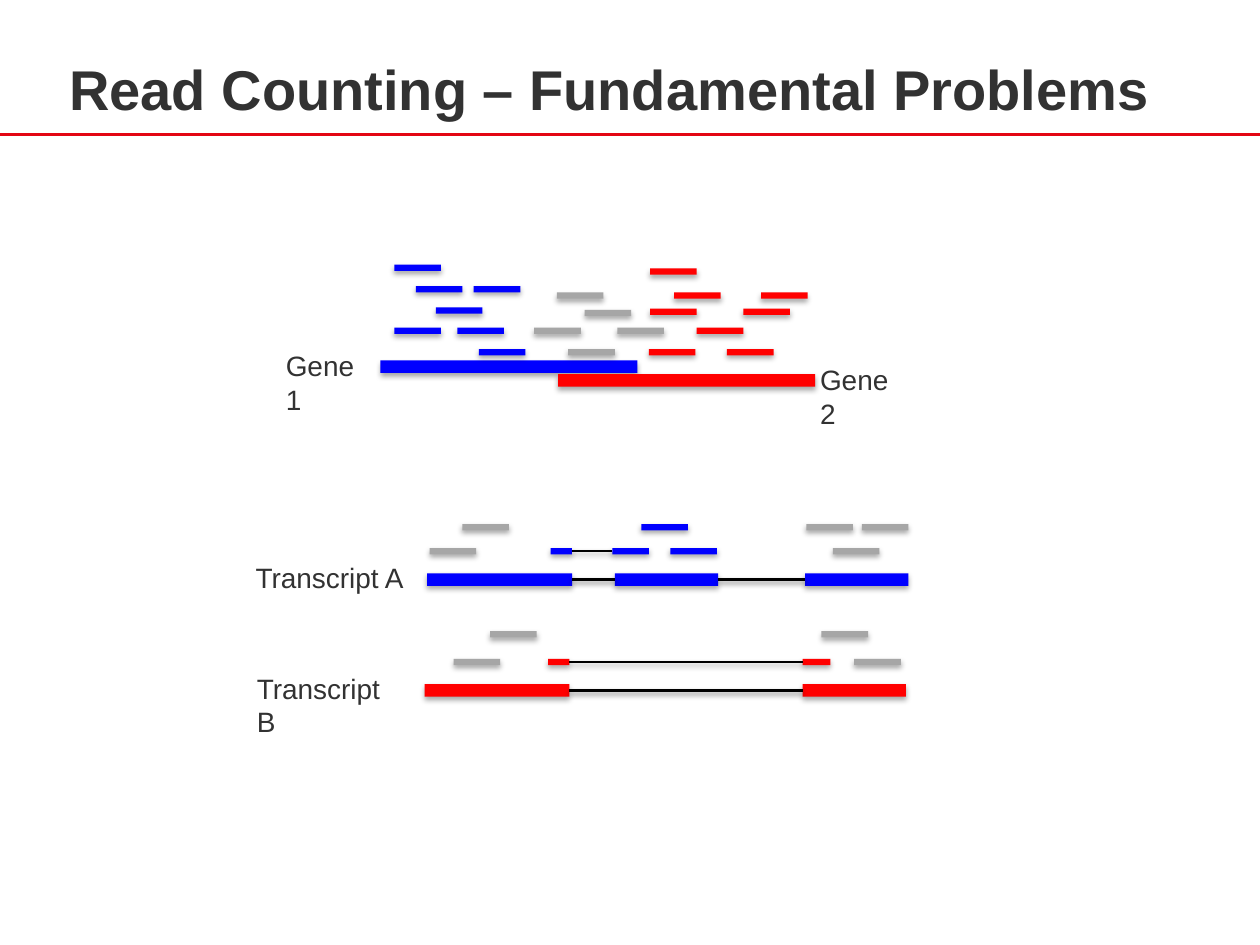
from collections import namedtuple

from lxml import etree
from pptx import Presentation
from pptx.dml.color import RGBColor
from pptx.enum.shapes import MSO_CONNECTOR, MSO_SHAPE
from pptx.enum.text import MSO_ANCHOR
from pptx.oxml.ns import qn
from pptx.util import Inches, Pt

STRAIGHT = MSO_CONNECTOR.STRAIGHT
RECTANGLE = MSO_SHAPE.RECTANGLE
MIDDLE = MSO_ANCHOR.MIDDLE

BLUE = RGBColor(0x00, 0x00, 0xFF)
RED = RGBColor(0xFF, 0x00, 0x00)
GRAY = RGBColor(0xA6, 0xA6, 0xA6)
BLACK = RGBColor(0x00, 0x00, 0x00)
TEXT = RGBColor(0x32, 0x32, 0x32)
RULE = RGBColor(0xE3, 0x06, 0x13)

TITLE_FORMAT = {"name": "Arial", "size": Pt(32), "bold": True}
LABEL_FORMAT = {"name": "Arial", "size": Pt(16)}

READ_WIDTH = 0.37
READ_HEIGHT = 0.05
BAR_HEIGHT = 0.1
LABEL_HEIGHT = 0.36

Box = namedtuple("Box", "left top width height")


def add_shadow(effects, distance, opacity):
    shadow = etree.SubElement(effects, qn("a:outerShdw"), blurRad=str(Pt(3.1)),
                              dist=str(Pt(distance)), dir="5400000", rotWithShape="0")
    color = etree.SubElement(shadow, qn("a:srgbClr"), val=str(BLACK))
    etree.SubElement(color, qn("a:alpha"), val=str(opacity * 1000))


def add_bar(page, left, top, width, height, color):
    bar = page.shapes.add_shape(RECTANGLE, *map(Inches, (left, top, width, height)))
    bar.fill.solid()
    bar.fill.fore_color.rgb = color
    bar.line.fill.background()
    bar.shadow.inherit = False
    add_shadow(bar.element.spPr.find(qn("a:effectLst")), 1.8, 35)


def add_reads(page, box, color, rows):
    for top, lefts in rows:
        for left in lefts:
            add_bar(page, box.left + left, box.top + top, READ_WIDTH, READ_HEIGHT, color)


def add_line(page, start, end, top, color, width, shaded=True):
    line = page.shapes.add_connector(STRAIGHT, *map(Inches, (start, top, end, top)))
    line.line.color.rgb = color
    line.line.width = Pt(width)
    effects = etree.SubElement(line.element.spPr, qn("a:effectLst"))
    if shaded:
        add_shadow(effects, 1.6, 38)


def add_text(page, box, text, text_format, wrap=False):
    frame = page.shapes.add_textbox(*map(Inches, box)).text_frame
    frame.word_wrap = wrap
    span = frame.paragraphs[0].add_run()
    span.text = text
    span.font.color.rgb = TEXT
    for name, value in text_format.items():
        setattr(span.font, name, value)
    return frame


def add_title(page, box):
    add_line(page, 0, 10, 1.07, RULE, 1.5, shaded=False)
    frame = add_text(page, box, "Read Counting – Fundamental Problems", TITLE_FORMAT, wrap=True)
    frame.vertical_anchor = MIDDLE
    for side in ("left", "top", "right", "bottom"):
        setattr(frame, f"margin_{side}", 0)


def add_genes(page, box):
    genes = [
        ("Gene 1", BLUE, 0.85, 0.76, 0, 0.62),
        ("Gene 2", RED, 2.26, 0.87, 4.24, 0.73),
    ]
    for name, color, left, top, label_left, label_top in genes:
        add_bar(page, box.left + left, box.top + top, 2.04, BAR_HEIGHT, color)
        label = Box(box.left + label_left, box.top + label_top, 0.92, LABEL_HEIGHT)
        add_text(page, label, name, LABEL_FORMAT)
    reads = {
        BLUE: [(0, [0.96]), (0.17, [1.13, 1.59]), (0.34, [1.29]),
               (0.5, [0.96, 1.46]), (0.67, [1.63])],
        GRAY: [(0.22, [2.25]), (0.36, [2.47]), (0.5, [2.07, 2.73]), (0.67, [2.34])],
        RED: [(0.03, [2.99]), (0.22, [3.18, 3.87]), (0.35, [2.99, 3.73]),
              (0.5, [3.36]), (0.67, [2.98, 3.6])],
    }
    for color, rows in reads.items():
        add_reads(page, box, color, rows)


def add_transcript(page, box, name, color, step, exons, split, shared, unique):
    read_top = box.top + step
    bar_top = read_top + 0.2
    label = Box(box.left, read_top + 0.05, 1.38, LABEL_HEIGHT)
    add_text(page, label, name, LABEL_FORMAT)
    for pieces, top, height, weight in (
        (exons, bar_top, BAR_HEIGHT, 2),
        (split, read_top, READ_HEIGHT, 1),
    ):
        for left, width in pieces:
            add_bar(page, box.left + left, top, width, height, color)
        for (left, width), (following, _) in zip(pieces, pieces[1:]):
            add_line(page, box.left + left + width, box.left + following,
                     top + height / 2, BLACK, weight)
    for read_color, rows in ((GRAY, shared), (color, unique)):
        add_reads(page, box, read_color, zip((0, step), rows))


def main():
    deck = Presentation()
    deck.slide_width, deck.slide_height = Inches(10), Inches(7.5)
    page = deck.slides.add_slide(deck.slide_layouts[6])
    add_title(page, Box(0.55, 0.44, 8.86, 0.52))
    add_genes(page, Box(2.17, 2.1, 5.16, 1.09))
    add_transcript(
        page, Box(1.93, 4.16, 5.28, 0.6), "Transcript A", BLUE, 0.19,
        exons=[(1.46, 1.15), (2.95, 0.82), (4.46, 0.82)],
        split=[(2.44, 0.17), (2.93, 0.29)],
        shared=[[1.74, 4.47, 4.91], [1.48, 4.68]],
        unique=[[3.16], [3.39]],
    )
    add_transcript(
        page, Box(1.94, 5.01, 5.25, 0.63), "Transcript B", RED, 0.22,
        exons=[(1.43, 1.15), (4.43, 0.82)],
        split=[(2.41, 0.17), (4.43, 0.22)],
        shared=[[1.95, 4.58], [1.66, 4.84]],
        unique=[],
    )
    deck.save("out.pptx")


if __name__ == "__main__":
    main()
